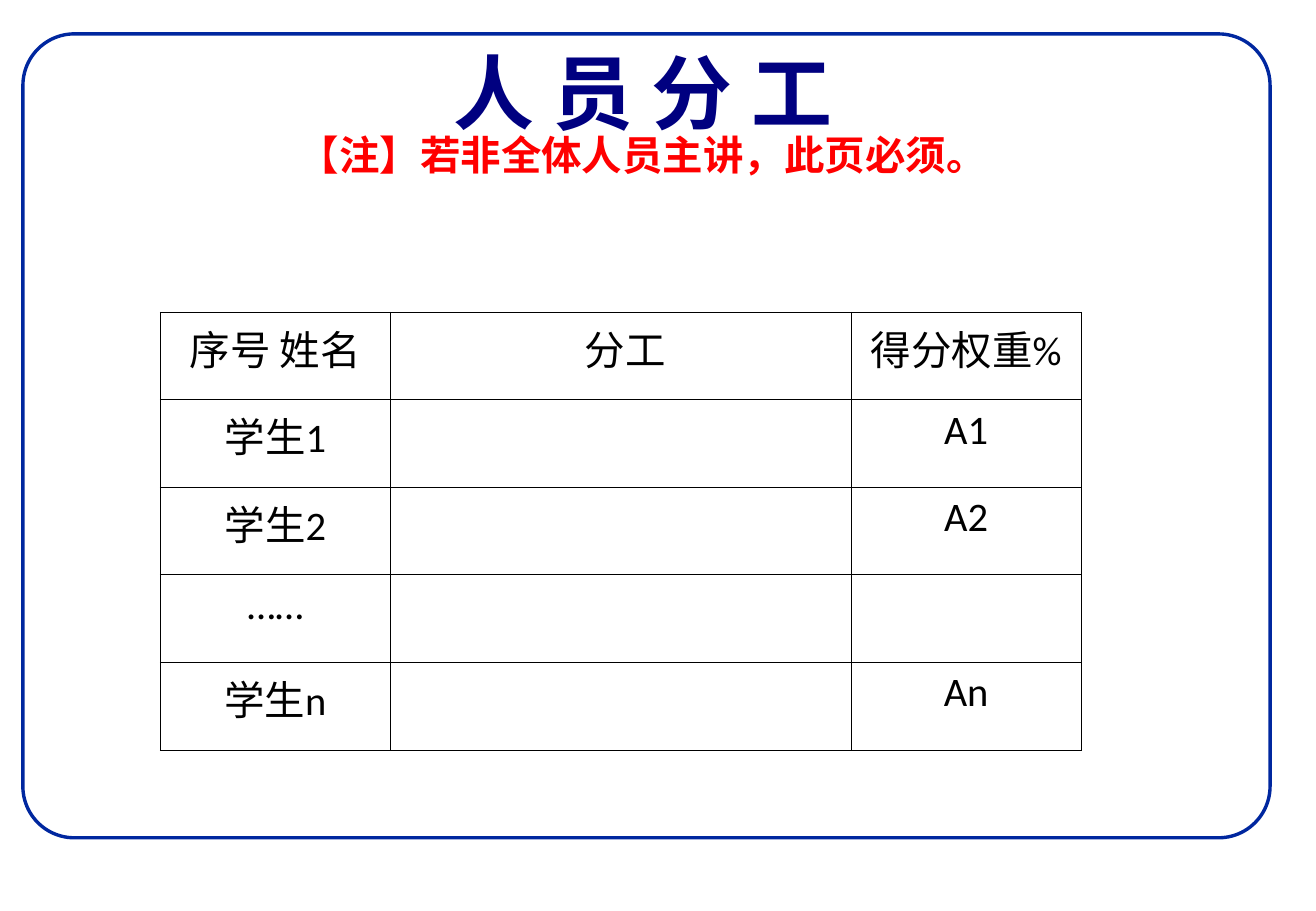
from dataclasses import dataclass

from lxml import etree
from pptx import Presentation
from pptx import util as u
from pptx.dml.color import RGBColor
from pptx.enum import shapes, text
from pptx.oxml import ns


@dataclass(frozen=True)
class Theme:
    frame: RGBColor = RGBColor(0x00, 0x27, 0x9F)
    title: RGBColor = RGBColor(0x00, 0x00, 0x80)
    note: RGBColor = RGBColor(0xFF, 0x00, 0x00)
    body: RGBColor = RGBColor(0x00, 0x00, 0x00)
    title_size: u.Pt = u.Pt(48)
    body_size: u.Pt = u.Pt(24)
    frame_width: u.Pt = u.Pt(2)
    border_width: u.Pt = u.Pt(0.45)
    title_font: str = "Arial"
    body_font: str = "Calibri"
    duty_font: str = "Times New Roman"


THEME = Theme()
COLUMN_WIDTHS = (4.82, 9.63, 4.82)
ROW_HEIGHT = 1.83
ROWS = (
    ("序号 姓名", " 分工", "得分权重%"),
    ("学生1", "", "A1"),
    ("学生2", "", "A2"),
    ("……", "", ""),
    ("学生n", "", "An"),
)


def apply_format(target, values):
    for name, value in values.items():
        setattr(target, name, value)


def add_run(paragraph, wording, color, **values):
    run = paragraph.add_run()
    run.text = wording
    apply_format(run.font, values)
    run.font.color.rgb = color


def add_frame(slide):
    frame = slide.shapes.add_shape(
        shapes.MSO_SHAPE.ROUNDED_RECTANGLE,
        u.Cm(0.48), u.Cm(0.71), u.Cm(26.09), u.Cm(16.81))
    frame.adjustments[0] = 0.064
    frame.shadow.inherit = False
    frame.fill.background()
    frame.line.color.rgb = THEME.frame
    frame.line.width = THEME.frame_width


def fill_title(slide):
    title = slide.shapes.title
    apply_format(title, {"left": u.Cm(1.75), "top": u.Cm(0.91),
                         "width": u.Cm(23.39), "height": u.Cm(4.6)})
    apply_format(title.text_frame, {
        "auto_size": text.MSO_AUTO_SIZE.NONE,
        "vertical_anchor": text.MSO_ANCHOR.TOP,
        "margin_top": u.Cm(0.38),
        "word_wrap": True,
    })
    paragraph = title.text_frame.paragraphs[0]
    apply_format(paragraph, {"alignment": text.PP_ALIGN.CENTER,
                             "line_spacing": 0.8})
    shared = {"name": THEME.title_font, "bold": True}
    add_run(paragraph, "人 员 分 工", THEME.title,
            size=THEME.title_size, **shared)
    paragraph.add_line_break()
    add_run(paragraph, "【注】若非全体人员主讲，此页必须。", THEME.note,
            size=THEME.body_size, **shared)


def add_borders(cell):
    properties = cell._tc.get_or_add_tcPr()
    for position, side in enumerate(("lnL", "lnR", "lnT", "lnB")):
        line = etree.Element(ns.qn(f"a:{side}"), w=str(THEME.border_width))
        fill = etree.SubElement(line, ns.qn("a:solidFill"))
        etree.SubElement(fill, ns.qn("a:srgbClr"), val=str(THEME.body))
        properties.insert(position, line)


def fill_cell(cell, wording, font_name):
    cell.fill.background()
    apply_format(cell, {"margin_left": u.Cm(0.2), "margin_right": u.Cm(0.2),
                        "margin_top": u.Cm(0.13), "margin_bottom": u.Cm(0.13)})
    add_borders(cell)
    if wording:
        paragraph = cell.text_frame.paragraphs[0]
        paragraph.alignment = text.PP_ALIGN.CENTER
        add_run(paragraph, wording, THEME.body,
                size=THEME.body_size, name=font_name)


def add_duty_table(slide):
    table = slide.shapes.add_table(
        len(ROWS), len(COLUMN_WIDTHS), u.Cm(3.35), u.Cm(6.53),
        u.Cm(sum(COLUMN_WIDTHS)), u.Cm(ROW_HEIGHT * len(ROWS))).table
    apply_format(table, {"first_row": False, "horz_banding": False})
    for column, width in zip(table.columns, COLUMN_WIDTHS):
        column.width = u.Cm(width)
    fonts = (THEME.body_font, THEME.duty_font, THEME.body_font)
    for row, wordings in zip(table.rows, ROWS):
        row.height = u.Cm(ROW_HEIGHT)
        for cell, wording, font_name in zip(row.cells, wordings, fonts):
            fill_cell(cell, wording, font_name)


def main():
    presentation = Presentation()
    apply_format(presentation, {"slide_width": u.Cm(27.53),
                                "slide_height": u.Cm(19.05)})
    slide = presentation.slides.add_slide(presentation.slide_layouts[5])
    add_frame(slide)
    fill_title(slide)
    add_duty_table(slide)
    presentation.save("out.pptx")


if __name__ == "__main__":
    main()
